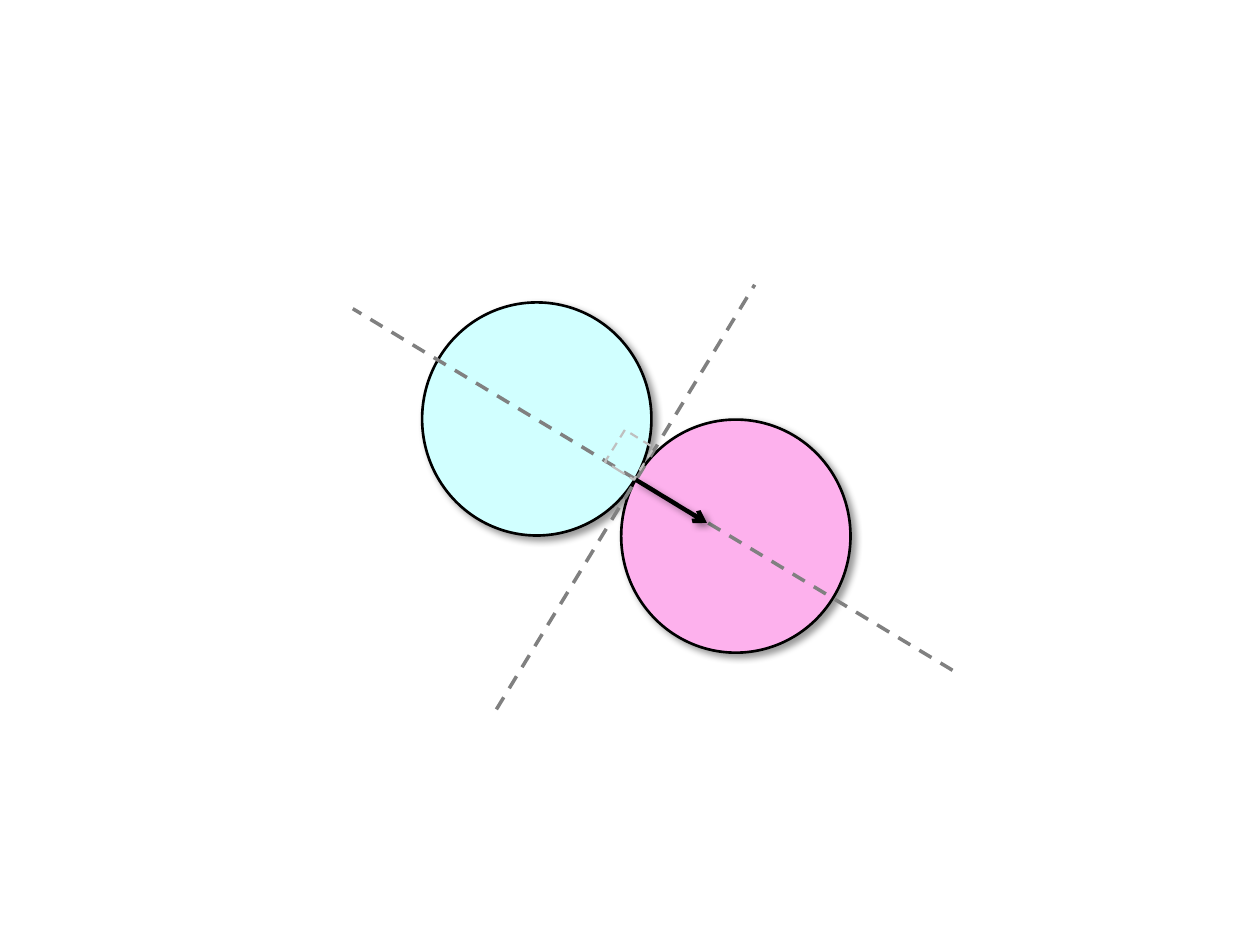
from lxml import etree
from pptx import Presentation
from pptx.dml.color import RGBColor
from pptx.enum.dml import MSO_LINE
from pptx.enum.shapes import MSO_CONNECTOR, MSO_SHAPE
from pptx.oxml.ns import qn
from pptx.util import Inches, Pt

DASH = MSO_LINE.DASH
OVAL, RECT = MSO_SHAPE.OVAL, MSO_SHAPE.RECTANGLE
STRAIGHT = MSO_CONNECTOR.STRAIGHT

WIDE, HIGH = 10, 7.5
BALL = (1.82, 1.85)
BALLS = [((3.35, 2.4), "D1FFFF"), ((4.93, 3.33), "FDB1ED")]
AXES = [((7.56, 5.32), (2.8, 2.45)), ((3.94, 5.63), (5.99, 2.26))]
FORCE = ((5.61, 4.15), (5.05, 3.81))
CORNER = ((4.86, 3.46), (0.27, 0.3), 31.9)


def color(code):
    return RGBColor.from_string(code)


def stroke(item, code, width, dash=None):
    item.line.color.rgb = color(code)
    item.line.width = Pt(width)
    if dash:
        item.line.dash_style = dash


def effects(item):
    props = item._element.spPr
    found = props.find(qn("a:effectLst"))
    return etree.SubElement(props, qn("a:effectLst")) if found is None else found


def shade(item):
    cast = etree.SubElement(effects(item), qn("a:outerShdw"),
                            blurRad=str(Pt(4)), dist=str(Pt(3)),
                            dir="2700000", algn="tl", rotWithShape="0")
    tint = etree.SubElement(cast, qn("a:srgbClr"), val="000000")
    etree.SubElement(tint, qn("a:alpha"), val="40000")


def shape(slide, kind, spot, size, fill=None):
    item = slide.shapes.add_shape(kind, *map(Inches, spot + size))
    item.shadow.inherit = False
    if fill:
        item.fill.solid()
        item.fill.fore_color.rgb = color(fill)
    else:
        item.fill.background()
    return item


def line(slide, ends, code, width, dash=None):
    start, stop = ends
    item = slide.shapes.add_connector(STRAIGHT, *map(Inches, start + stop))
    stroke(item, code, width, dash)
    effects(item)
    return item


def main():
    deck = Presentation()
    deck.slide_width, deck.slide_height = Inches(WIDE), Inches(HIGH)
    slide = deck.slides.add_slide(deck.slide_layouts[6])

    for spot, fill in BALLS:
        ball = shape(slide, OVAL, spot, BALL, fill)
        stroke(ball, "000000", 1.5)
        shade(ball)

    for ends in AXES:
        line(slide, ends, "808080", 2, DASH)

    force = line(slide, FORCE, "000000", 2.5)
    etree.SubElement(force.line._get_or_add_ln(), qn("a:headEnd"), type="arrow")
    shade(force)

    spot, size, turn = CORNER
    corner = shape(slide, RECT, spot, size)
    corner.rotation = turn
    stroke(corner, "BFBFBF", 1.25, DASH)

    deck.save("out.pptx")


if __name__ == "__main__":
    main()
